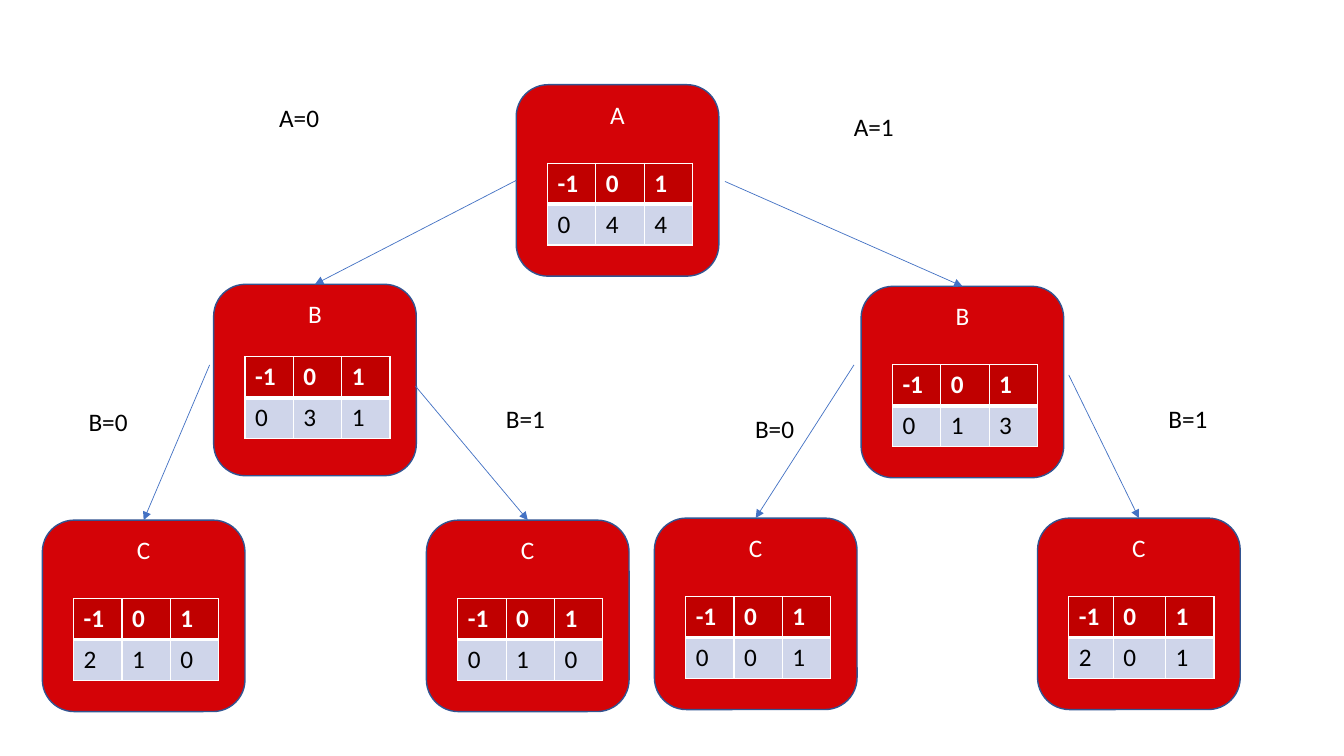
import dataclasses

import lxml.etree
import pptx
import pptx.dml.color
import pptx.enum.shapes
import pptx.enum.text
import pptx.oxml
import pptx.oxml.ns
import pptx.util

qn = pptx.oxml.ns.qn


@dataclasses.dataclass(frozen=True)
class Theme:
    font: str = "Calibri"
    size: int = 18
    node: str = "D40307"
    outline: str = "325491"
    edge: str = "4472C4"
    header: str = "C00000"
    body: str = "CFD5EA"
    light: str = "FFFFFF"
    dark: str = "000000"
    thin: float = 0.5
    line: float = 1
    thick: float = 3


THEME = Theme()
SLIDE_W, SLIDE_H = 13.33, 7.5
# All places are columns and rows of a 100 by 100 grid over the slide.
NODE_W, NODE_H = 15.08, 25.33
TABLE_X, TABLE_Y, TABLE_W, TABLE_H = 2.33, 10.4, 10.8, 10.8
LABEL_W, LABEL_H = 9, 5.33
TOP, LEFT = 0, 1
HEADINGS = ("-1", "0", "1")
EVEN = (12, 12, 12)

# key: (variable, column, row, counts, table row offset, column shares)
NODES = {
    "root": ("A", 38.41, 11.2, "044", TABLE_Y, EVEN),
    "left": ("B", 15.9, 37.6, "031", 9.6, EVEN),
    "right": ("B", 64.07, 37.87, "013", TABLE_Y, EVEN),
    "left 0": ("C", 3.15, 68.8, "210", TABLE_Y, EVEN),
    "left 1": ("C", 31.73, 68.8, "010", TABLE_Y, EVEN),
    "right 0": ("C", 48.69, 68.53, "001", TABLE_Y, EVEN),
    "right 1": ("C", 77.2, 68.53, "201", TABLE_Y, (11, 13, 12)),
}
# (start: a node's key or a free column and row, end node)
EDGES = (
    ("root", "left"),
    ((53.94, 24), "right"),
    ((15.6, 48.27), "left 0"),
    ((30.91, 51.07), "left 1"),
    ((79.52, 49.6), "right 1"),
    ((63.54, 48.27), "right 0"),
)
LABELS = (
    ("A=0", 20.03, 12.93),
    ("A=1", 62.79, 14),
    ("B=0", 5.85, 53.07),
    ("B=1", 86.2, 52.67),
    ("B=1", 36.91, 52.67),
    ("B=0", 55.44, 54),
)


def cols(n):
    return pptx.util.Inches(n * SLIDE_W / 100)


def rows(n):
    return pptx.util.Inches(n * SLIDE_H / 100)


def place(x, y, w, h):
    return cols(x), rows(y), cols(w), rows(h)


def rgb(color):
    return pptx.dml.color.RGBColor.from_string(color)


def write(tf, text, color=THEME.dark, bold=False, align=pptx.enum.text.PP_ALIGN.LEFT):
    p = tf.paragraphs[0]
    p.alignment = align
    r = p.add_run()
    r.text = text
    r.font.name = THEME.font
    r.font.size = pptx.util.Pt(THEME.size)
    r.font.bold = bold
    r.font.color.rgb = rgb(color)


def add_borders(cell, top, bottom):
    tcPr = cell._tc.get_or_add_tcPr()
    sides = {"lnL": THEME.line, "lnR": THEME.line, "lnT": top, "lnB": bottom}
    for side, width in sides.items():
        ln = lxml.etree.SubElement(tcPr, qn("a:" + side), w=str(pptx.util.Pt(width)))
        fill = lxml.etree.SubElement(ln, qn("a:solidFill"))
        lxml.etree.SubElement(fill, qn("a:srgbClr"), val=THEME.light)


def add_counts(s, x, y, counts, shares):
    """Place the table of counts with its top left corner at x, y."""
    frame = s.shapes.add_table(2, len(HEADINGS), *place(x, y, TABLE_W, TABLE_H))
    table = frame.table
    for column, share in zip(table.columns, shares):
        column.width = cols(TABLE_W * share / sum(shares))
    styles = (
        (HEADINGS, THEME.header, THEME.light, True, THEME.line, THEME.thick),
        (counts, THEME.body, THEME.dark, False, THEME.thick, THEME.line),
    )
    for i, (values, fill, color, bold, top, bottom) in enumerate(styles):
        for j, value in enumerate(values):
            cell = table.cell(i, j)
            add_borders(cell, top, bottom)
            cell.fill.solid()
            cell.fill.fore_color.rgb = rgb(fill)
            write(cell.text_frame, value, color=color, bold=bold)


def add_node(s, name, x, y, counts, table_y, shares):
    sp = s.shapes.add_shape(
        pptx.enum.shapes.MSO_SHAPE.ROUNDED_RECTANGLE, *place(x, y, NODE_W, NODE_H))
    sp.shadow.inherit = False
    sp.fill.solid()
    sp.fill.fore_color.rgb = rgb(THEME.node)
    sp.line.color.rgb = rgb(THEME.outline)
    sp.line.width = pptx.util.Pt(THEME.line)
    sp.text_frame.vertical_anchor = pptx.enum.text.MSO_ANCHOR.TOP
    write(sp.text_frame, name, color=THEME.light, align=pptx.enum.text.PP_ALIGN.CENTER)
    add_counts(s, x + TABLE_X, y + table_y, counts, shares)
    return sp


def add_edge(s, nodes, start, end):
    joined = start in nodes
    x, y = (0, 0) if joined else start
    line = s.shapes.add_connector(
        pptx.enum.shapes.MSO_CONNECTOR.STRAIGHT, cols(x), rows(y), cols(x), rows(y))
    if joined:
        line.begin_connect(nodes[start], LEFT)
    line.end_connect(nodes[end], TOP)
    line.line.color.rgb = rgb(THEME.edge)
    line.line.width = pptx.util.Pt(THEME.thin)
    lxml.etree.SubElement(line.line._get_or_add_ln(), qn("a:tailEnd"), type="triangle")
    lxml.etree.SubElement(line._element.spPr, qn("a:effectLst"))


def add_label(s, text, x, y):
    tf = s.shapes.add_textbox(*place(x, y, LABEL_W, LABEL_H)).text_frame
    tf.word_wrap = True
    tf.auto_size = pptx.enum.text.MSO_AUTO_SIZE.SHAPE_TO_FIT_TEXT
    write(tf, text)


def add_tree(s):
    nodes = {key: add_node(s, *node) for key, node in NODES.items()}
    for start, end in EDGES:
        add_edge(s, nodes, start, end)
    for label in LABELS:
        add_label(s, *label)


def main():
    prs = pptx.Presentation()
    prs.slide_width = pptx.util.Inches(SLIDE_W)
    prs.slide_height = pptx.util.Inches(SLIDE_H)
    add_tree(prs.slides.add_slide(prs.slide_layouts[6]))
    prs.save("out.pptx")


if __name__ == "__main__":
    main()
